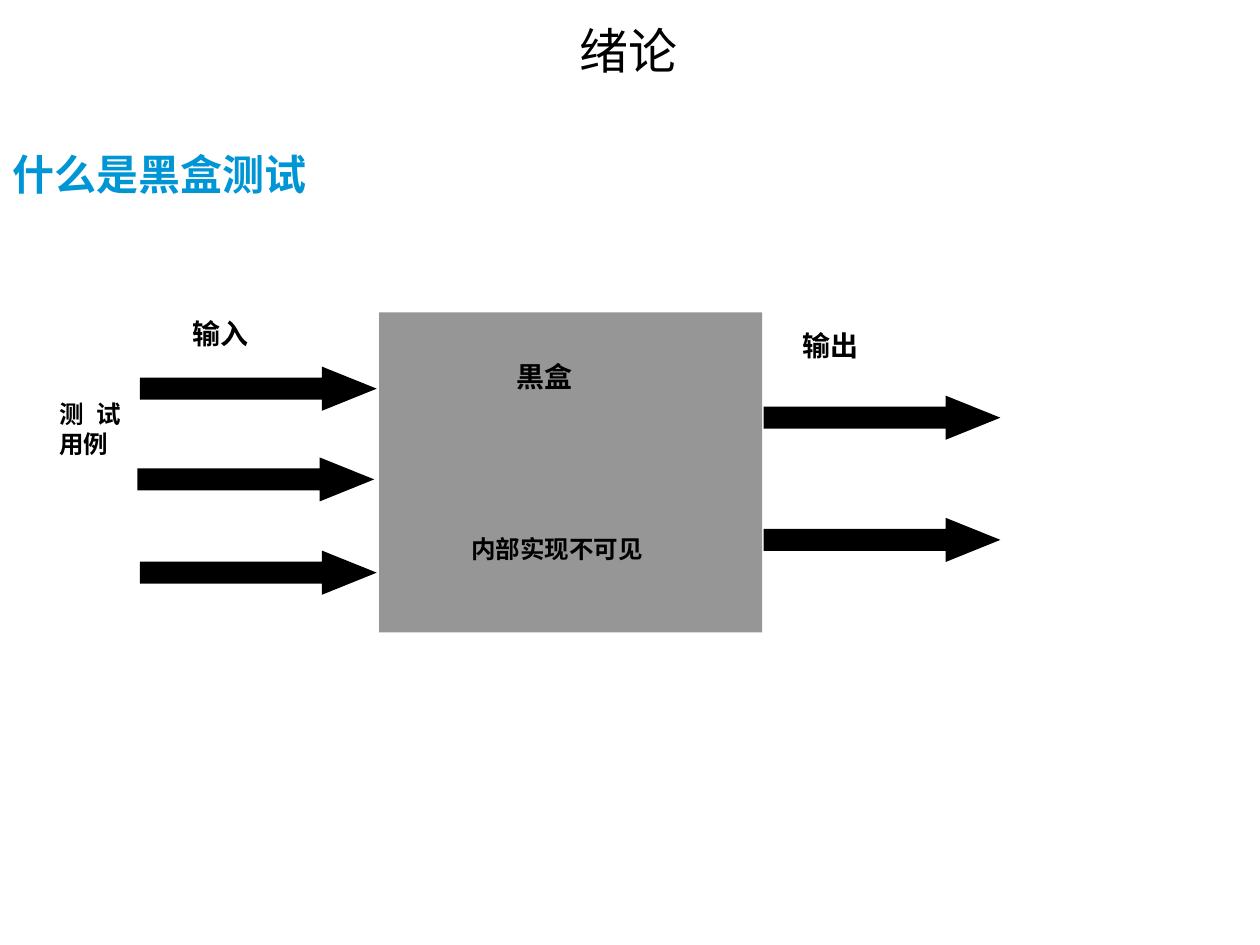
import dataclasses

import lxml.etree
import pptx
import pptx.dml.color
import pptx.enum.lang
import pptx.enum.shapes
import pptx.enum.text
import pptx.oxml.ns
import pptx.util

Inches = pptx.util.Inches
ALIGN = pptx.enum.text.PP_ALIGN
ANCHOR = pptx.enum.text.MSO_ANCHOR
SHAPE = pptx.enum.shapes.MSO_SHAPE


@dataclasses.dataclass(frozen=True)
class Theme:
    ink: str = "000000"
    accent: str = "0096D6"
    box: str = "969696"
    heading_font: str = "Noto Sans CJK SC"
    label_font: str = "Calibri"
    chapter_size: int = 28
    title_size: int = 24
    label_size: int = 16
    note_size: int = 14


class SlideBuilder:
    def __init__(self, slide, theme):
        self.slide = slide
        self.theme = theme

    def set_text(self, holder, wording, font, size, color, bold, align, frame_format):
        frame = holder.text_frame
        for name, value in frame_format.items():
            setattr(frame, name, value)
        frame.word_wrap = True
        frame.auto_size = pptx.enum.text.MSO_AUTO_SIZE.NONE
        paragraph = frame.paragraphs[0]
        paragraph.alignment = align
        run = paragraph.add_run()
        run.text = wording
        font_format = {
            "name": font,
            "size": pptx.util.Pt(size),
            "bold": bold,
            "language_id": pptx.enum.lang.MSO_LANGUAGE_ID.SIMPLIFIED_CHINESE,
        }
        for name, value in font_format.items():
            setattr(run.font, name, value)
        run.font.color.rgb = pptx.dml.color.RGBColor.from_string(color)
        # East Asian glyphs take their typeface from a:ea rather than a:latin.
        lxml.etree.SubElement(
            run.font._element, pptx.oxml.ns.qn("a:ea"), typeface=font
        )

    def text_box(self, left, top, width, height):
        return self.slide.shapes.add_textbox(
            Inches(left), Inches(top), Inches(width), Inches(height)
        )

    def title(self, wording, left, top, width, height):
        title = self.slide.shapes.title
        place = {"left": left, "top": top, "width": width, "height": height}
        for name, value in place.items():
            setattr(title, name, Inches(value))
        self.set_text(title, wording, self.theme.heading_font, self.theme.title_size,
                      self.theme.accent, True, ALIGN.LEFT,
                      {"vertical_anchor": ANCHOR.MIDDLE})

    def chapter(self, wording, left, top, width, height):
        self.set_text(self.text_box(left, top, width, height), wording,
                      self.theme.heading_font, self.theme.chapter_size,
                      self.theme.ink, False, ALIGN.LEFT,
                      {"vertical_anchor": ANCHOR.MIDDLE})

    def label(self, wording, size, left, top, width, height):
        insets = {
            "margin_left": Inches(0.04), "margin_right": Inches(0.04),
            "margin_top": Inches(0.02), "margin_bottom": Inches(0.02),
            "vertical_anchor": ANCHOR.TOP,
        }
        self.set_text(self.text_box(left, top, width, height), wording,
                      self.theme.label_font, size, self.theme.ink, True,
                      ALIGN.JUSTIFY, insets)

    def block(self, kind, color, left, top, width, height):
        block = self.slide.shapes.add_shape(
            kind, Inches(left), Inches(top), Inches(width), Inches(height)
        )
        block.shadow.inherit = False
        block.fill.solid()
        block.fill.fore_color.rgb = pptx.dml.color.RGBColor.from_string(color)
        block.line.fill.background()
        return block

    def arrow(self, left, top):
        arrow = self.block(SHAPE.RIGHT_ARROW, self.theme.ink, left, top, 1.88, 0.35)
        arrow.adjustments[0] = 0.5
        arrow.adjustments[1] = 1.24


def main():
    deck = pptx.Presentation()
    deck.slide_width, deck.slide_height = Inches(10), Inches(7.5)
    theme = Theme()
    builder = SlideBuilder(deck.slides.add_slide(deck.slide_layouts[5]), theme)

    builder.block(SHAPE.RECTANGLE, theme.box, 3.01, 2.48, 3.04, 2.54)
    input_arrows = [(1.11, 2.91), (1.09, 3.63), (1.11, 4.37)]
    output_arrows = [(6.06, 3.14), (6.06, 4.11)]
    for left, top in input_arrows + output_arrows:
        builder.arrow(left, top)

    for wording, left, top in [
        ("输入", 1.49, 2.49), ("输出", 6.33, 2.59), ("黒盒", 4.06, 2.83),
    ]:
        builder.label(wording, theme.label_size, left, top, 0.89, 0.44)
    builder.label("内部实现不可见", theme.note_size, 3.7, 4.22, 1.72, 0.44)
    builder.label("测试用例", theme.note_size, 0.43, 3.15, 0.57, 1.44)

    builder.title("什么是黑盒测试", 0, 0.98, 9, 0.8)
    builder.chapter("绪论", 4.5, 0, 5.5, 0.8)
    deck.save("out.pptx")


if __name__ == "__main__":
    main()
